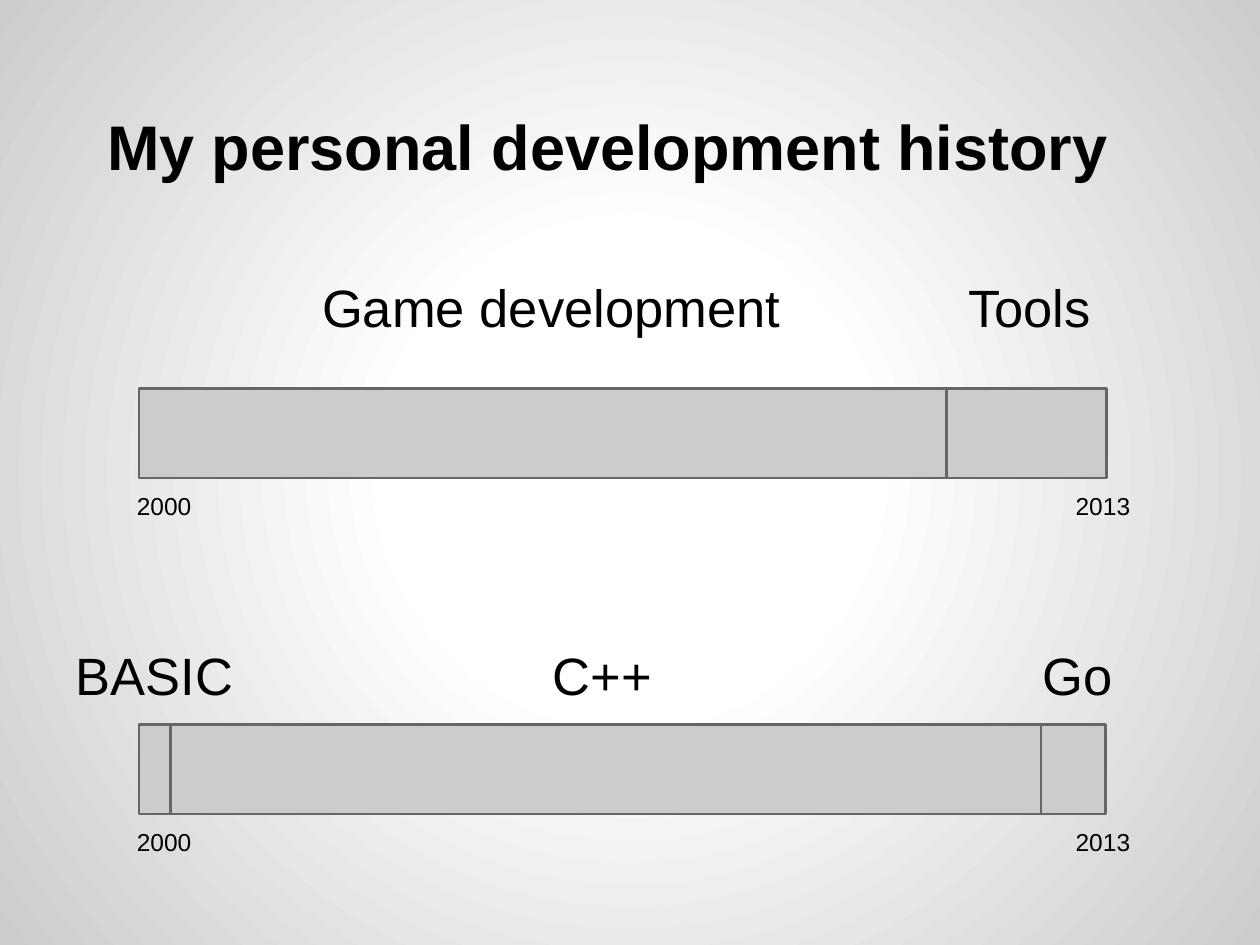
from pptx import Presentation
from pptx.dml.color import RGBColor
from pptx.enum.shapes import MSO_SHAPE
from pptx.enum.text import MSO_ANCHOR, PP_ALIGN
from pptx.oxml import parse_xml
from pptx.oxml.ns import nsdecls, qn
from pptx.util import Pt

FONT = "Arial"
BLACK, GRAY, WHITE, OUTLINE = "000000", "CCCCCC", "FFFFFF", "666666"
BAR_LEFT, BAR_HEIGHT = 79.4, 51.1
YEARS = [("2000", 93.8), ("2013", 630.3)]

# Each timeline: bar top, label top, segment widths, labels with their centres
TIMELINES = [
    (222, 157.4, [461.5, 91.4], [("Game development", 315), ("Tools", 588.3)]),
    (414, 367.7, [18, 497.5, 36.9], [("BASIC", 88.2), ("C++", 344.2), ("Go", 616)]),
]


def color(value):
    return RGBColor.from_string(value)


def set_background(slide):
    """Radial gradient, white in the middle and gray at the corners."""
    slide.background.fill.gradient()
    stops = "".join(
        f'<a:gs pos="{percent * 1000}"><a:srgbClr val="{value}"/></a:gs>'
        for percent, value in [(0, WHITE), (30, WHITE), (100, GRAY)]
    )
    gradient = parse_xml(
        f'<a:gradFill {nsdecls("a")}><a:gsLst>{stops}</a:gsLst><a:path path="circle">'
        '<a:fillToRect l="50000" t="50000" r="50000" b="50000"/></a:path></a:gradFill>'
    )
    default = slide.element.find(".//" + qn("a:gradFill"))
    default.getparent().replace(default, gradient)


def add_text(slide, text, left, top, width, height, size, bold=False,
             align=PP_ALIGN.LEFT, anchor=MSO_ANCHOR.TOP):
    shape = slide.shapes.add_textbox(Pt(left), Pt(top), Pt(width), Pt(height))
    text_frame = shape.text_frame
    text_frame.word_wrap = True
    text_frame.vertical_anchor = anchor
    text_frame.margin_left = text_frame.margin_right = 0
    text_frame.margin_top = text_frame.margin_bottom = 0
    text_frame.text = text
    paragraph = text_frame.paragraphs[0]
    paragraph.alignment = align
    font = paragraph.runs[0].font
    font.name, font.size, font.bold = FONT, Pt(size), bold
    font.color.rgb = color(BLACK)


def add_label(slide, text, center, top, size):
    """One centred line in a box with room to spare for its text."""
    width = len(text) * size * 0.8
    add_text(slide, text, center - width / 2, top, width, size * 1.2,
             size, align=PP_ALIGN.CENTER)


def add_segment(slide, left, top, width):
    shape = slide.shapes.add_shape(
        MSO_SHAPE.RECTANGLE, Pt(left), Pt(top), Pt(width), Pt(BAR_HEIGHT))
    shape.shadow.inherit = False
    shape.fill.solid()
    shape.fill.fore_color.rgb = color(GRAY)
    shape.line.color.rgb = color(OUTLINE)
    shape.line.width = Pt(1.5)


def add_timeline(slide, bar_top, label_top, widths, labels):
    left = BAR_LEFT
    for width in widths:
        add_segment(slide, left, bar_top, width)
        left += width
    for text, center in labels:
        add_label(slide, text, center, label_top, 30)
    for year, center in YEARS:
        add_label(slide, year, center, bar_top + BAR_HEIGHT + 7.4, 14)


def main():
    presentation = Presentation()
    presentation.slide_width, presentation.slide_height = Pt(720), Pt(540)
    slide = presentation.slides.add_slide(presentation.slide_layouts[6])
    set_background(slide)

    # Title
    add_text(slide, "My personal development history", 61.2, 28.8, 615.6, 75.6,
             36, bold=True, anchor=MSO_ANCHOR.BOTTOM)

    # Kinds of work, then languages
    for timeline in TIMELINES:
        add_timeline(slide, *timeline)

    presentation.save("out.pptx")


main()
